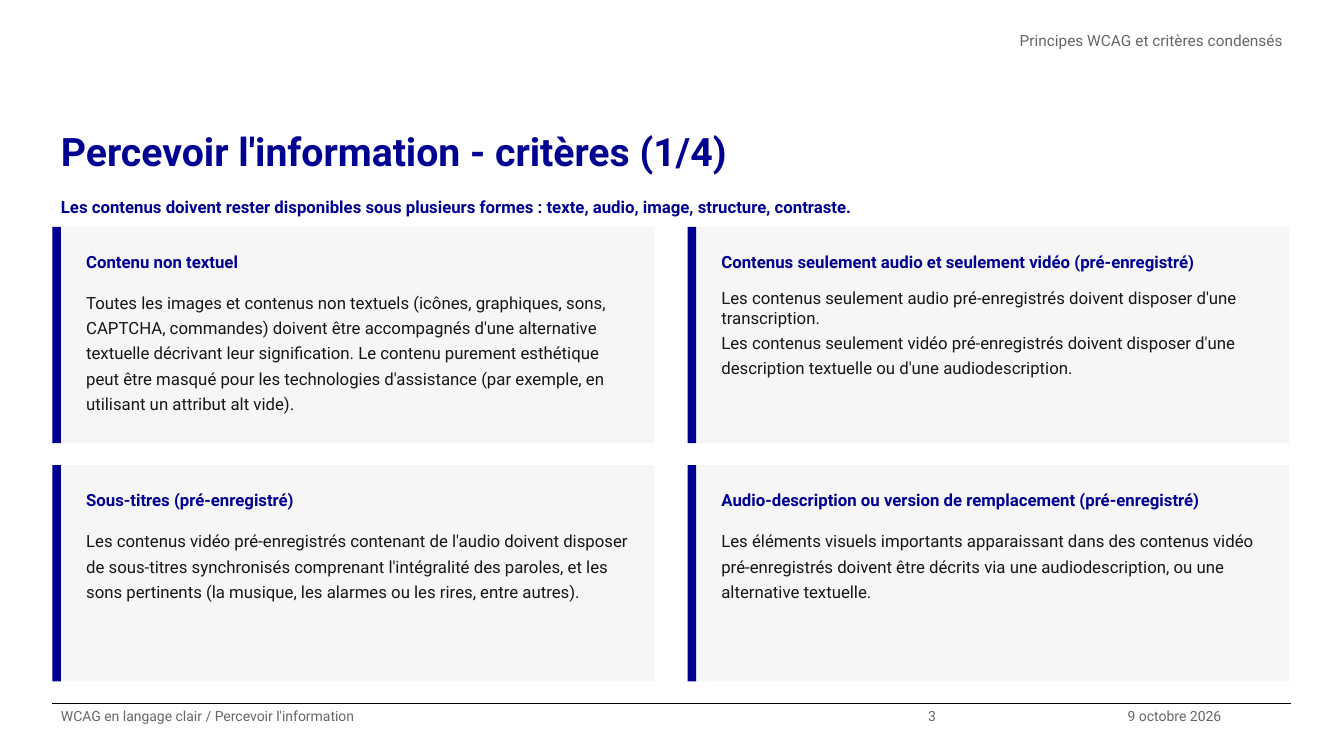
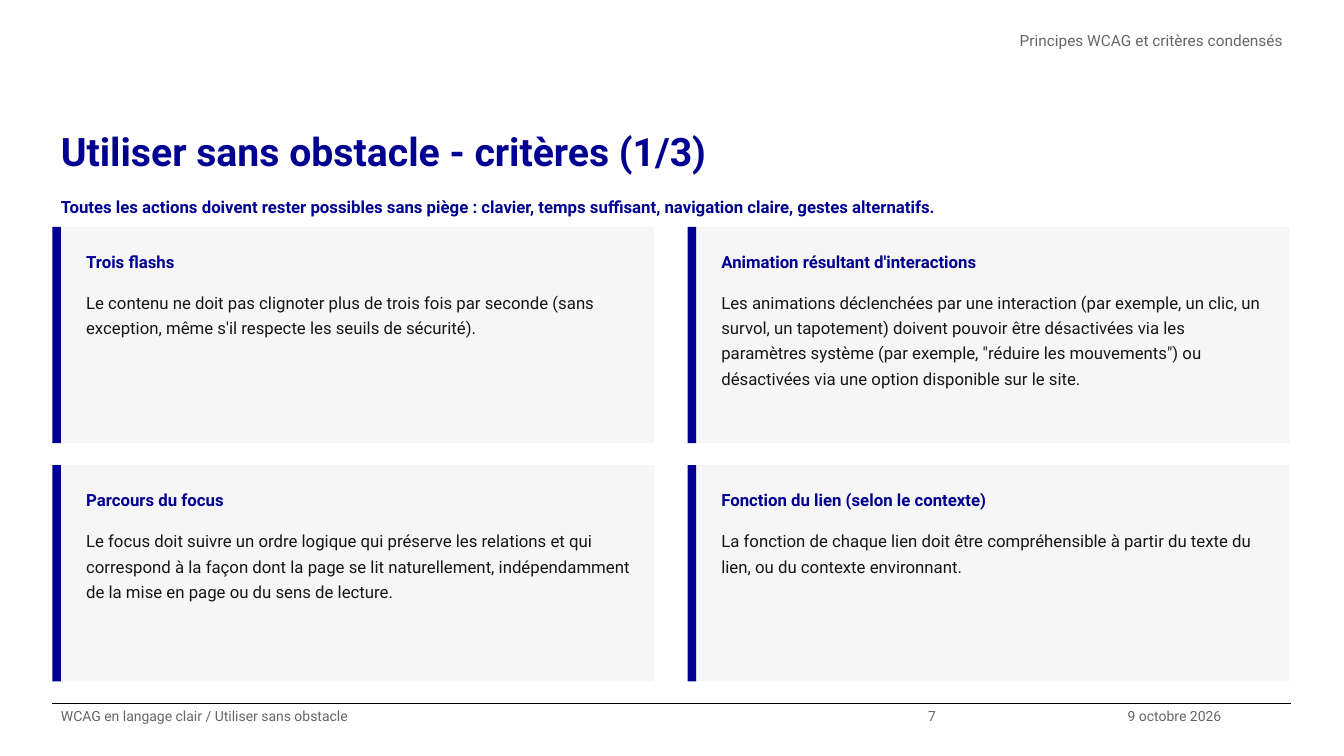
"""Build two slides of condensed accessibility criteria."""
from dataclasses import dataclass

from lxml.etree import SubElement
from pptx import Presentation
from pptx.dml.color import RGBColor
from pptx.enum.shapes import MSO_CONNECTOR, MSO_SHAPE
from pptx.enum.text import MSO_ANCHOR, PP_ALIGN
from pptx.oxml.ns import qn
from pptx.slide import Slide
from pptx.util import Emu, Pt

EMU_PER_PX = 9525
SLIDE_WIDTH, SLIDE_HEIGHT = 1280, 720
LEFT, RIGHT = 50, 1230
FOOTER_TOP, FOOTER_HEIGHT = 670, 50
GRID_TOP, COLUMN_PITCH, ROW_PITCH = 216, 605, 227
BAR_WIDTH, CARD_WIDTH, CARD_HEIGHT = 8, 565, 206
TEXT_OFFSET, TEXT_WIDTH = 24, 535

BLUE = RGBColor(0x00, 0x00, 0x91)
INK = RGBColor(0x16, 0x16, 0x16)
GREY = RGBColor(0x66, 0x66, 0x66)
PALE = RGBColor(0xF6, 0xF6, 0xF6)
BLACK = RGBColor(0x00, 0x00, 0x00)

FONT_NAME = "Roboto"
LINE_SPACING = 1.25
HEADER = "Principes WCAG et critères condensés"
DATE = "9 octobre 2026"


@dataclass(frozen=True)
class Box:
    left: int
    top: int
    width: int
    height: int


@dataclass(frozen=True)
class TextStyle:
    size: int
    color: RGBColor
    bold: bool = False
    alignment: PP_ALIGN = PP_ALIGN.LEFT
    vertical_inset: int = 0


@dataclass(frozen=True)
class Card:
    title: str
    body: tuple[str, ...]


@dataclass(frozen=True)
class Page:
    number: int
    theme: str
    progress: str
    summary: str
    cards: tuple[Card, ...]


TITLE_STYLE = TextStyle(28, BLUE, bold=True)
HEADER_STYLE = TextStyle(11, GREY, alignment=PP_ALIGN.RIGHT)
FOOTER_STYLE = TextStyle(10, GREY)
HEADING_STYLE = TextStyle(12, BLUE, bold=True, vertical_inset=5)
BODY_STYLE = TextStyle(12, INK, vertical_inset=5)

PAGES = (
    Page(
        3,
        "Percevoir l'information",
        "1/4",
        "Les contenus doivent rester disponibles sous plusieurs formes : "
        "texte, audio, image, structure, contraste.",
        (
            Card("Contenu non textuel", (
                "Toutes les images et contenus non textuels (icônes, graphiques, sons, "
                "CAPTCHA, commandes) doivent être accompagnés d'une alternative textuelle "
                "décrivant leur signification. Le contenu purement esthétique peut être "
                "masqué pour les technologies d'assistance (par exemple, en utilisant un "
                "attribut alt vide).",
            )),
            Card("Contenus seulement audio et seulement vidéo (pré-enregistré)", (
                "Les contenus seulement audio pré-enregistrés doivent disposer d'une "
                "transcription.",
                "Les contenus seulement vidéo pré-enregistrés doivent disposer d'une "
                "description textuelle ou d'une audiodescription.",
            )),
            Card("Sous-titres (pré-enregistré)", (
                "Les contenus vidéo pré-enregistrés contenant de l'audio doivent disposer "
                "de sous-titres synchronisés comprenant l'intégralité des paroles, et les "
                "sons pertinents (la musique, les alarmes ou les rires, entre autres).",
            )),
            Card("Audio-description ou version de remplacement (pré-enregistré)", (
                "Les éléments visuels importants apparaissant dans des contenus vidéo "
                "pré-enregistrés doivent être décrits via une audiodescription, ou une "
                "alternative textuelle.",
            )),
        ),
    ),
    Page(
        7,
        "Utiliser sans obstacle",
        "1/3",
        "Toutes les actions doivent rester possibles sans piège : "
        "clavier, temps suffisant, navigation claire, gestes alternatifs.",
        (
            Card("Trois flashs", (
                "Le contenu ne doit pas clignoter plus de trois fois par seconde (sans "
                "exception, même s'il respecte les seuils de sécurité).",
            )),
            Card("Animation résultant d'interactions", (
                "Les animations déclenchées par une interaction (par exemple, un clic, un "
                "survol, un tapotement) doivent pouvoir être désactivées via les paramètres "
                "système (par exemple, \"réduire les mouvements\") ou désactivées via une "
                "option disponible sur le site.",
            )),
            Card("Parcours du focus", (
                "Le focus doit suivre un ordre logique qui préserve les relations et qui "
                "correspond à la façon dont la page se lit naturellement, indépendamment "
                "de la mise en page ou du sens de lecture.",
            )),
            Card("Fonction du lien (selon le contexte)", (
                "La fonction de chaque lien doit être compréhensible à partir du texte du "
                "lien, ou du contexte environnant.",
            )),
        ),
    ),
)


def px(length: int) -> Emu:
    return Emu(length * EMU_PER_PX)


def set_attributes(target: object, values: dict[str, object]) -> None:
    for name, value in values.items():
        setattr(target, name, value)


def add_text(slide: Slide, box: Box, style: TextStyle, *lines: str) -> None:
    shape = slide.shapes.add_textbox(px(box.left), px(box.top), px(box.width), px(box.height))
    frame = shape.text_frame
    set_attributes(frame, {
        "word_wrap": True,
        "vertical_anchor": MSO_ANCHOR.TOP,
        "margin_left": px(8),
        "margin_right": px(8),
        "margin_top": px(style.vertical_inset),
        "margin_bottom": px(style.vertical_inset),
        "text": "\n".join(lines),
    })
    for paragraph in frame.paragraphs:
        set_attributes(paragraph, {"alignment": style.alignment, "line_spacing": LINE_SPACING})
        set_attributes(paragraph.font, {
            "name": FONT_NAME, "size": Pt(style.size), "bold": style.bold,
        })
        paragraph.font.color.rgb = style.color
    if len(lines) > 1:
        frame.paragraphs[0].line_spacing = 1.0


def add_rectangle(slide: Slide, box: Box, color: RGBColor) -> None:
    shape = slide.shapes.add_shape(
        MSO_SHAPE.RECTANGLE, px(box.left), px(box.top), px(box.width), px(box.height))
    shape.shadow.inherit = False
    shape.fill.solid()
    shape.fill.fore_color.rgb = color
    shape.line.fill.background()


def add_footer_rule(slide: Slide) -> None:
    rule = slide.shapes.add_connector(
        MSO_CONNECTOR.STRAIGHT, px(LEFT), px(FOOTER_TOP), px(RIGHT), px(FOOTER_TOP))
    rule.line.color.rgb = BLACK
    rule.line.width = Pt(0.8)
    SubElement(rule._element.spPr, qn("a:effectLst"))


def add_frame(slide: Slide, page: Page) -> None:
    add_footer_rule(slide)
    add_text(slide, Box(LEFT, 110, 1179, 101), TITLE_STYLE,
             f"{page.theme} - critères ({page.progress})")
    add_text(slide, Box(464, 25, 766, 50), HEADER_STYLE, HEADER)
    add_text(slide, Box(LEFT, 178, 1179, 27), HEADING_STYLE, page.summary)
    footers = (
        (LEFT, 826, f"WCAG en langage clair / {page.theme}"),
        (876, 190, str(page.number)),
        (1066, 164, DATE),
    )
    for left, width, text in footers:
        add_text(slide, Box(left, FOOTER_TOP, width, FOOTER_HEIGHT), FOOTER_STYLE, text)


def add_card(slide: Slide, card: Card, left: int, top: int) -> None:
    add_rectangle(slide, Box(left + BAR_WIDTH, top, CARD_WIDTH, CARD_HEIGHT), PALE)
    add_rectangle(slide, Box(left, top, BAR_WIDTH, CARD_HEIGHT), BLUE)
    text_left = left + TEXT_OFFSET
    add_text(slide, Box(text_left, top + 14, TEXT_WIDTH, 34), HEADING_STYLE, card.title)
    add_text(slide, Box(text_left, top + 53, TEXT_WIDTH, 144), BODY_STYLE, *card.body)


def main() -> None:
    presentation = Presentation()
    set_attributes(presentation, {
        "slide_width": px(SLIDE_WIDTH), "slide_height": px(SLIDE_HEIGHT),
    })
    for page in PAGES:
        slide = presentation.slides.add_slide(presentation.slide_layouts[6])
        add_frame(slide, page)
        for index, card in enumerate(page.cards):
            row, column = divmod(index, 2)
            add_card(slide, card, LEFT + column * COLUMN_PITCH, GRID_TOP + row * ROW_PITCH)
    presentation.save("out.pptx")


if __name__ == "__main__":
    main()
